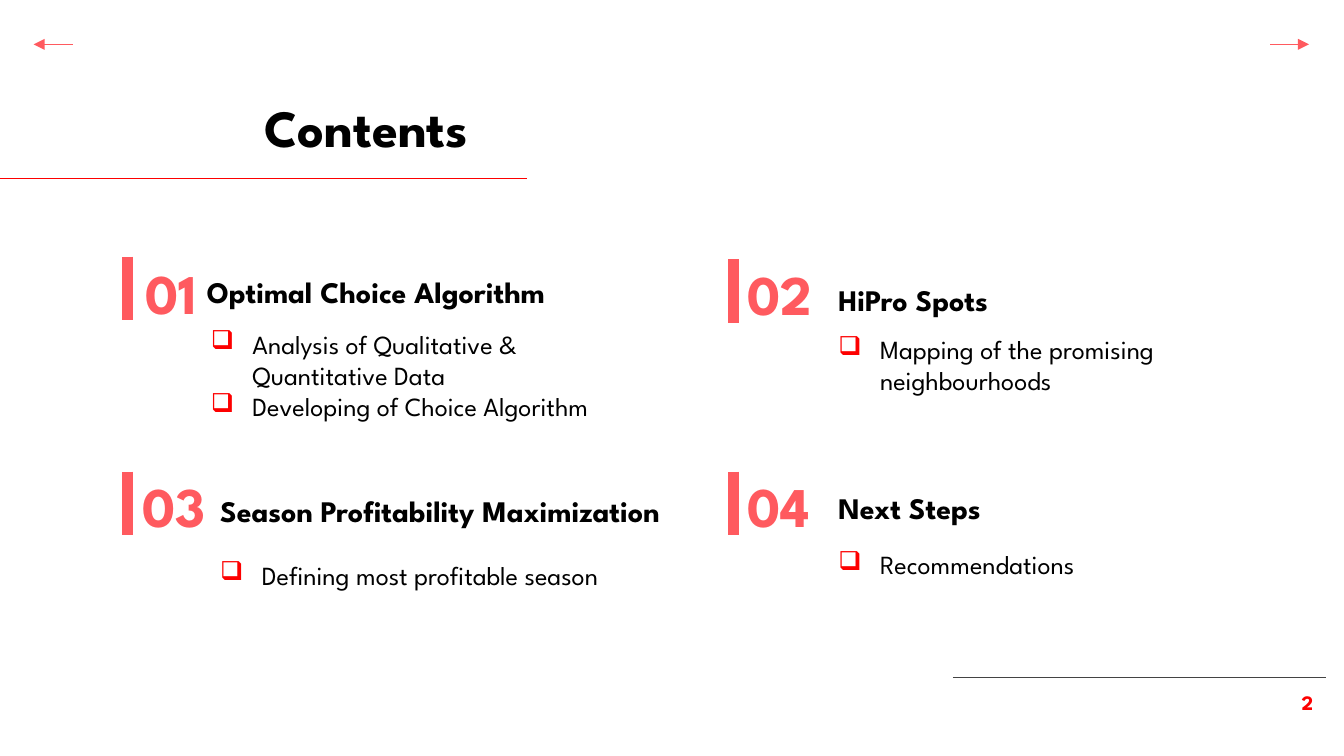
"""Build the contents slide with four numbered sections."""
from dataclasses import dataclass
from typing import NamedTuple

from lxml.etree import SubElement
from pptx import Presentation
from pptx.dml.color import RGBColor
from pptx.enum.shapes import MSO_CONNECTOR
from pptx.enum.text import MSO_ANCHOR, PP_ALIGN
from pptx.oxml.ns import qn
from pptx.slide import Slide
from pptx.text.text import _Paragraph as Paragraph
from pptx.util import Inches, Pt


@dataclass(frozen=True)
class Theme:
    font: str = "League Spartan"
    red: str = "FD0000"
    coral: str = "FF5A5F"
    black: str = "000000"
    gray: str = "434343"
    title_size: float = 28
    number_size: float = 30
    heading_size: float = 16
    body_size: float = 14
    page_size: float = 11
    thin: float = 0.75
    bar: float = 6


class Box(NamedTuple):
    left: float
    top: float
    width: float
    height: float


class Style(NamedTuple):
    size: float
    color: str
    bold: bool = True
    align: PP_ALIGN = PP_ALIGN.LEFT
    anchor: MSO_ANCHOR = MSO_ANCHOR.TOP
    left_inset: float = 0.1


class Section(NamedTuple):
    number: str
    number_left: float
    number_top: float
    bar_left: float
    bar_top: float
    heading: str
    heading_box: Box
    items: list[str]
    items_box: Box


THEME = Theme()
TITLE = Style(THEME.title_size, THEME.black, align=PP_ALIGN.CENTER)
NUMBER = Style(THEME.number_size, THEME.coral, left_inset=0)
HEADING = Style(THEME.heading_size, THEME.black, anchor=MSO_ANCHOR.BOTTOM)
BODY = Style(THEME.body_size, THEME.black, bold=False)
PAGE = Style(THEME.page_size, THEME.red, align=PP_ALIGN.RIGHT)
BAR_HEIGHT = 0.47
SECTIONS = [
    Section("01", 1.08, 1.82, 0.95, 1.91,
            "Optimal Choice Algorithm", Box(1.44, 1.83, 3.41, 0.57),
            ["Analysis of Qualitative & Quantitative Data",
             "Developing of Choice Algorithm"], Box(1.47, 2.34, 3.49, 0.71)),
    Section("02", 5.56, 1.83, 5.46, 1.93,
            "HiPro Spots", Box(6.14, 1.88, 3.24, 0.58),
            ["Mapping of the promising neighbourhoods"],
            Box(6.14, 2.38, 3.24, 0.71)),
    Section("03", 1.06, 3.41, 0.95, 3.51,
            "Season Profitability Maximization", Box(1.54, 3.45, 3.86, 0.58),
            ["Defining most profitable season"], Box(1.54, 4.06, 3.24, 0.71)),
    Section("04", 5.56, 3.41, 5.46, 3.51,
            "Next Steps", Box(6.14, 3.44, 3.41, 0.57),
            ["Recommendations"], Box(6.14, 3.98, 3.24, 0.71)),
]


def add_bullet(paragraph: Paragraph) -> None:
    """Give a paragraph a red box bullet with a hanging indent."""
    properties = paragraph._p.get_or_add_pPr()
    properties.set("marL", str(Inches(0.31)))
    properties.set("indent", str(Inches(-0.31)))
    color = SubElement(properties, qn("a:buClr"))
    SubElement(color, qn("a:srgbClr"), val=THEME.red)
    SubElement(properties, qn("a:buChar"), char="❑")


def add_text(slide: Slide, box: Box, lines: list[str], style: Style,
             bulleted: bool = False) -> None:
    """Add a text box with one paragraph for each line."""
    text_frame = slide.shapes.add_textbox(*map(Inches, box)).text_frame
    text_frame.word_wrap = True
    text_frame.vertical_anchor = style.anchor
    text_frame.margin_left = Inches(style.left_inset)
    text_frame.margin_top = text_frame.margin_bottom = Inches(0.1)
    text_frame.margin_right = Inches(0.1)
    text_frame.text = "\n".join(lines)
    for paragraph in text_frame.paragraphs:
        paragraph.alignment = style.align
        if bulleted:
            add_bullet(paragraph)
        for run in paragraph.runs:
            run.font.name = THEME.font
            run.font.size = Pt(style.size)
            run.font.bold = style.bold
            run.font.color.rgb = RGBColor.from_string(style.color)


def add_line(slide: Slide, start: tuple[float, float], end: tuple[float, float],
             color: str, width: float = THEME.thin, arrow: bool = False) -> None:
    """Add a straight line, with an arrowhead at its end if asked."""
    connector = slide.shapes.add_connector(
        MSO_CONNECTOR.STRAIGHT, *map(Inches, (*start, *end)))
    connector.line.color.rgb = RGBColor.from_string(color)
    connector.line.width = Pt(width)
    if arrow:
        SubElement(connector.line._get_or_add_ln(), qn("a:tailEnd"), type="triangle")
    SubElement(connector._element.spPr, qn("a:effectLst"))


def add_section(slide: Slide, section: Section) -> None:
    """Draw a section's bar, number, heading and bullet list."""
    add_line(slide, (section.bar_left, section.bar_top),
             (section.bar_left, section.bar_top + BAR_HEIGHT), THEME.coral, THEME.bar)
    number_box = Box(section.number_left, section.number_top, 0.63, 0.65)
    add_text(slide, number_box, [section.number], NUMBER)
    add_text(slide, section.heading_box, [section.heading], HEADING)
    add_text(slide, section.items_box, section.items, BODY, bulleted=True)


def main() -> None:
    """Build and save the presentation."""
    presentation = Presentation()
    presentation.slide_width = Inches(10)
    presentation.slide_height = Inches(10 * 9 / 16)
    slide = presentation.slides.add_slide(presentation.slide_layouts[6])
    add_line(slide, (-0.02, 1.33), (3.92, 1.33), THEME.red)
    add_line(slide, (7.09, 5.04), (9.87, 5.04), THEME.gray)
    add_text(slide, Box(9.23, 5.04, 0.64, 0.43), ["2"], PAGE)
    add_text(slide, Box(1.33, 0.61, 2.79, 0.63), ["Contents"], TITLE)
    for section in SECTIONS:
        add_section(slide, section)
    for start, end in ((9.45, 9.74), (0.54, 0.25)):
        add_line(slide, (start, 0.33), (end, 0.33), THEME.coral, arrow=True)
    presentation.save("out.pptx")


if __name__ == "__main__":
    main()
